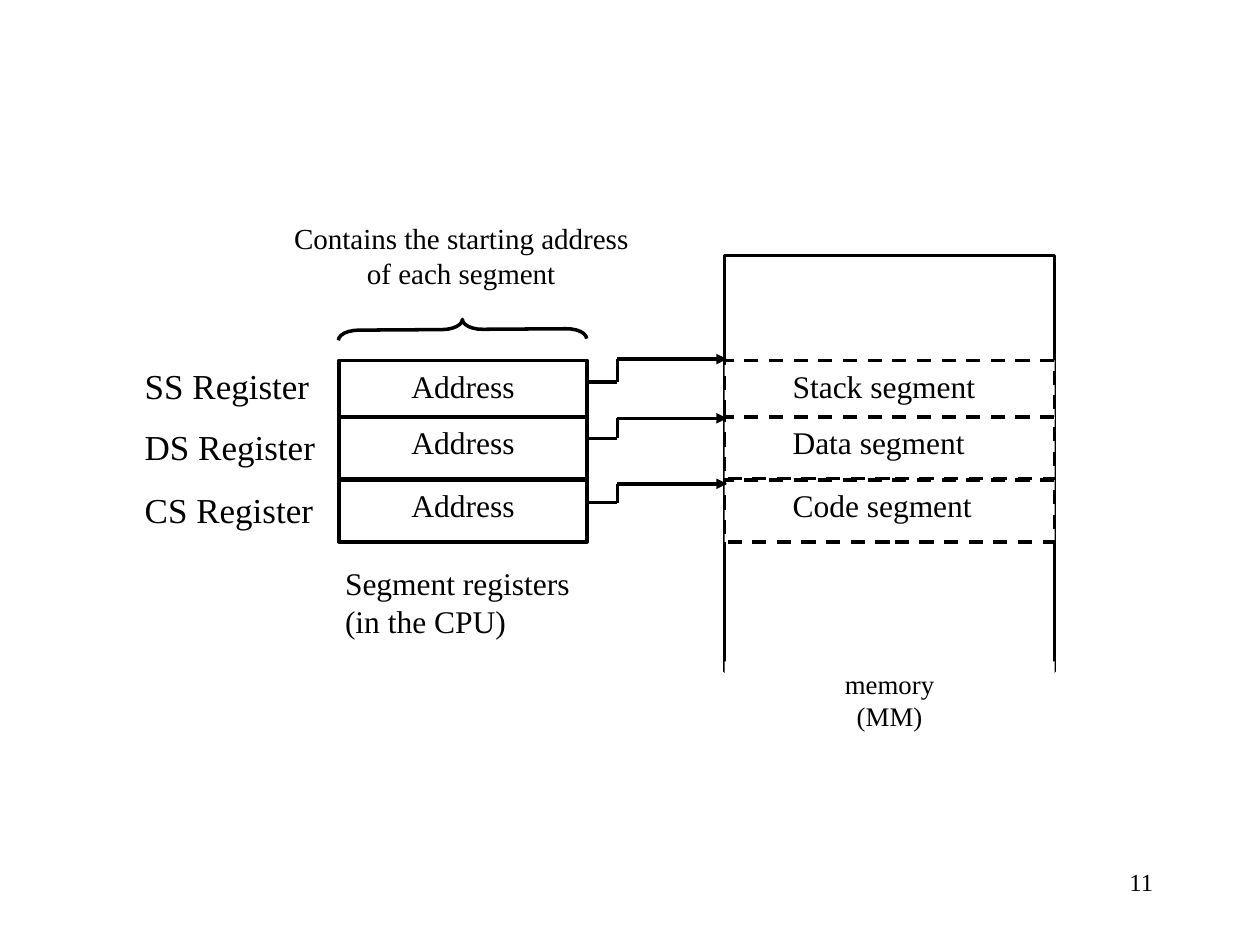
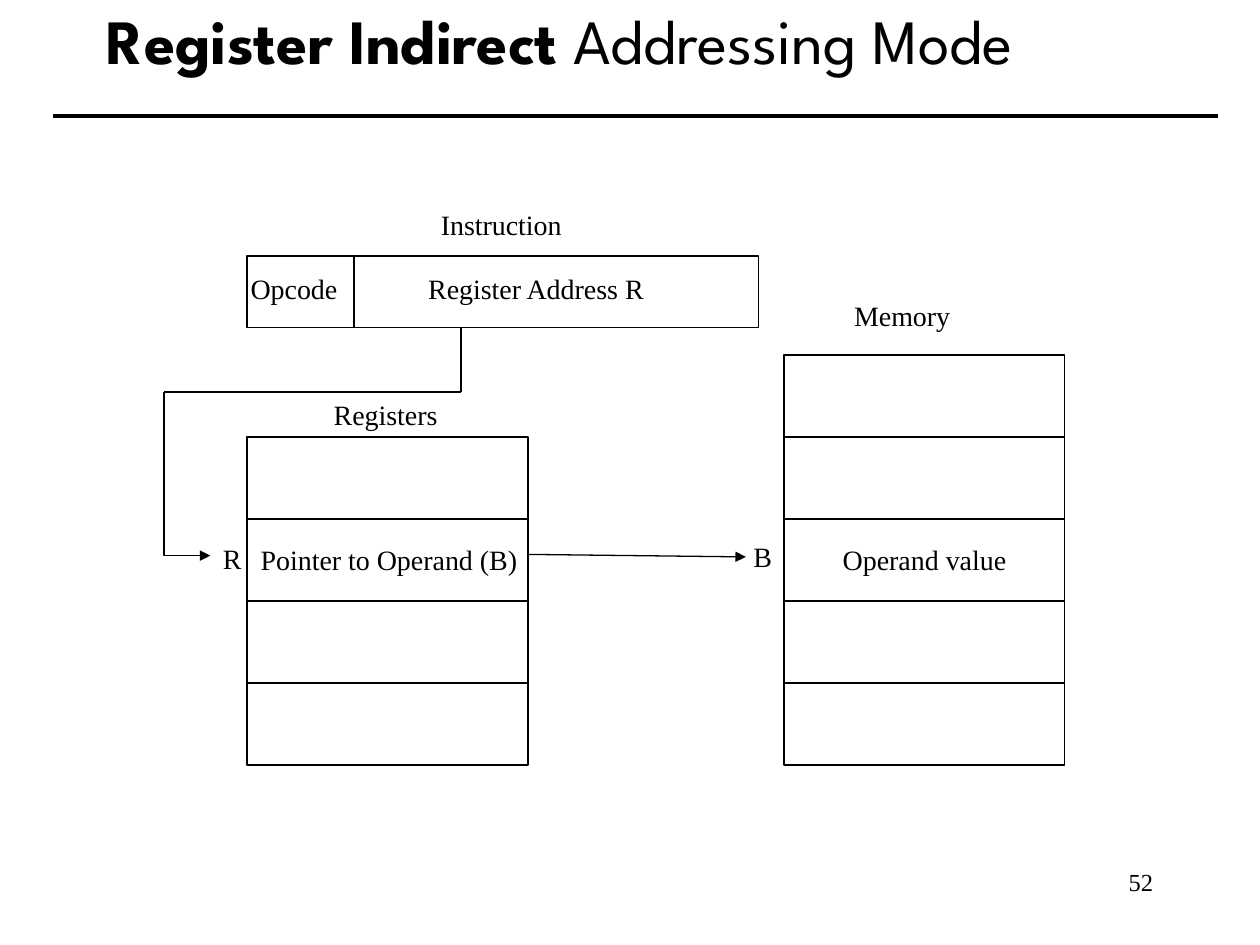
from pptx import Presentation
from pptx.dml.color import RGBColor
from pptx.enum import dml, shapes, text
from pptx.oxml.ns import qn
from pptx.util import Inches, Pt
from lxml import etree

BLACK = "000000"
WHITE = "FFFFFF"
BODY_FONT = "Times New Roman"
TITLE_FONT = "League Spartan"
LEFT, CENTER, RIGHT = text.PP_ALIGN.LEFT, text.PP_ALIGN.CENTER, text.PP_ALIGN.RIGHT


def color(value):
    return RGBColor.from_string(value)


def style_font(font, size, name=BODY_FONT):
    font.size = Pt(size)
    font.name = name
    font.color.rgb = color(BLACK)


def style_line(line, width, arrow=False):
    """Draw a black line, with an arrowhead at its end if wanted."""
    line.width = Pt(width)
    line.color.rgb = color(BLACK)
    if arrow:
        etree.SubElement(line._get_or_add_ln(), qn("a:tailEnd"), type="triangle")


def write(shape, words, size, align=LEFT, wrap=True, indent=0.1):
    """Fill a shape with one paragraph per line of words, from the top."""
    frame = shape.text_frame
    frame.word_wrap = wrap
    frame.vertical_anchor = text.MSO_ANCHOR.TOP
    frame.margin_left = Inches(indent)
    frame.text = words
    for para in frame.paragraphs:
        para.alignment = align
        style_font(para.font, size)


def add_label(page, words, left, top, width, height=0.36, size=16,
              align=LEFT, wrap=False):
    box = page.shapes.add_textbox(
        Inches(left), Inches(top), Inches(width), Inches(height))
    write(box, words, size, align, wrap)
    return box


def add_block(page, left, top, width, height, line=1, fill=None, dashed=False,
              kind=shapes.MSO_SHAPE.RECTANGLE):
    block = page.shapes.add_shape(
        kind, Inches(left), Inches(top), Inches(width), Inches(height))
    block.shadow.inherit = False
    if fill:
        block.fill.solid()
        block.fill.fore_color.rgb = color(fill)
    else:
        block.fill.background()
    if line:
        style_line(block.line, line)
        if dashed:
            block.line.dash_style = dml.MSO_LINE.DASH
    else:
        block.line.fill.background()
    return block


def add_line(page, x1, y1, x2, y2, width=1, arrow=False):
    line = page.shapes.add_connector(
        shapes.MSO_CONNECTOR.STRAIGHT,
        Inches(x1), Inches(y1), Inches(x2), Inches(y2))
    style_line(line.line, width, arrow)
    etree.SubElement(line._element.spPr, qn("a:effectLst"))


def add_bent_arrow(page, points):
    corners = [(Inches(x), Inches(y)) for x, y in points]
    builder = page.shapes.build_freeform(*corners[0])
    builder.add_line_segments(corners[1:], close=False)
    arrow = builder.convert_to_shape()
    arrow.shadow.inherit = False
    arrow.fill.background()
    style_line(arrow.line, 1, arrow=True)


def add_title(page, strong, rest):
    box = add_label(page, "", 0.75, 0, 8.5, 0.62, wrap=True)
    box.text_frame.vertical_anchor = text.MSO_ANCHOR.MIDDLE
    para = box.text_frame.paragraphs[0]
    for words, bold in ((strong, True), (rest, False)):
        span = para.add_run()
        span.text = words
        span.font.bold = bold
    style_font(para.font, 36, TITLE_FONT)
    add_line(page, 0.42, 0.92, 9.67, 0.92, 2.25)


def add_page(deck, number):
    page = deck.slides.add_slide(deck.slide_layouts[6])
    add_label(page, str(number), 7.17, 6.83, 2.08, 0.5, 14, RIGHT, wrap=True)
    return page


def add_cells(page, left, top, count):
    for row in range(count):
        add_block(page, left, top + 0.65 * row, 2.23, 0.65)


def build_segment_registers(deck):
    page = add_page(deck, 11)
    reg_left, reg_width = 2.69, 1.97
    mem_left, mem_width = 5.75, 2.62
    bend = 4.9

    add_block(page, mem_left, 2.03, mem_width, 3.3, 2, WHITE)
    # register, segment, row top, label top, arrow start, arrow end
    rows = [
        ("SS", "Stack", 2.86, 2.84, 3.03, 2.85),
        ("DS", "Data", 3.31, 3.33, 3.48, 3.32),
        ("CS", "Code", 3.81, 3.83, 3.99, 3.84),
    ]
    for register, segment, top, label_top, start, end in rows:
        cell = add_block(page, reg_left, top, reg_width, 0.49, 2, WHITE)
        write(cell, "Address", 18, CENTER)
        cell = add_block(page, mem_left, top, mem_width, 0.49, 2, WHITE, True)
        write(cell, f"{segment} segment", 18, indent=0.54)
        add_label(page, f"{register} Register", 1.05, label_top, 1.62, 0.44, 20)
        add_line(page, 4.67, start, bend, start, 2)
        add_line(page, bend, start, bend, end, 2)
        add_line(page, bend, end, 5.77, end, 2, arrow=True)

    captions = [
        ("Contains the starting address of each segment",
         2.13, 1.7, 3.06, 0.67, 16.6, CENTER),
        ("Segment registers\n(in the CPU)", 2.64, 4.43, 2, 0.99, 18, LEFT),
        ("memory\n(MM)", mem_left, 5.25, mem_width, 0.66, 15.3, CENTER),
    ]
    for words, left, top, width, height, size, align in captions:
        caption = add_block(page, left, top, width, height, None, WHITE)
        write(caption, words, size, align)

    brace = add_block(page, 3.59, 1.63, 0.16, reg_width, 2,
                      kind=shapes.MSO_SHAPE.LEFT_BRACE)
    brace.adjustments[0] = 1.0
    brace.rotation = 89.6


def build_register_indirect(deck):
    page = add_page(deck, 52)
    add_title(page, "Register Indirect", " Addressing Mode")
    reg_left, mem_left = 1.96, 6.22

    add_block(page, reg_left, 2.03, 4.06, 0.57)
    add_line(page, 2.81, 2.03, 2.81, 2.6)
    add_cells(page, mem_left, 2.82, 5)
    add_cells(page, reg_left, 3.47, 4)

    labels = [
        ("Instruction", 3.4, 1.6, 1.2),
        ("Opcode", 1.89, 2.11, 0.92),
        ("Register Address R", 3.3, 2.11, 1.95),
        ("Memory", 6.68, 2.32, 1.02),
        ("Operand value", 6.59, 4.26, 1.54),
        ("Registers", 2.55, 3.11, 1.08),
        ("Pointer to Operand (B)", 1.97, 4.26, 2.28),
        ("R", 1.67, 4.25, 0.38),
        ("B", 5.88, 4.23, 0.38),
    ]
    for words, left, top, width in labels:
        add_label(page, words, left, top, width)

    add_line(page, 3.66, 2.6, 3.66, 3.11)
    add_line(page, 3.66, 3.11, 1.3, 3.11)
    add_bent_arrow(page, [(1.3, 3.11), (1.3, 4.41), (1.67, 4.41)])
    add_line(page, 4.19, 4.4, 5.92, 4.42, 0.75, arrow=True)


def main():
    deck = Presentation()
    deck.slide_width, deck.slide_height = Inches(10), Inches(7.5)
    build_segment_registers(deck)
    build_register_indirect(deck)
    deck.save("out.pptx")


if __name__ == "__main__":
    main()
